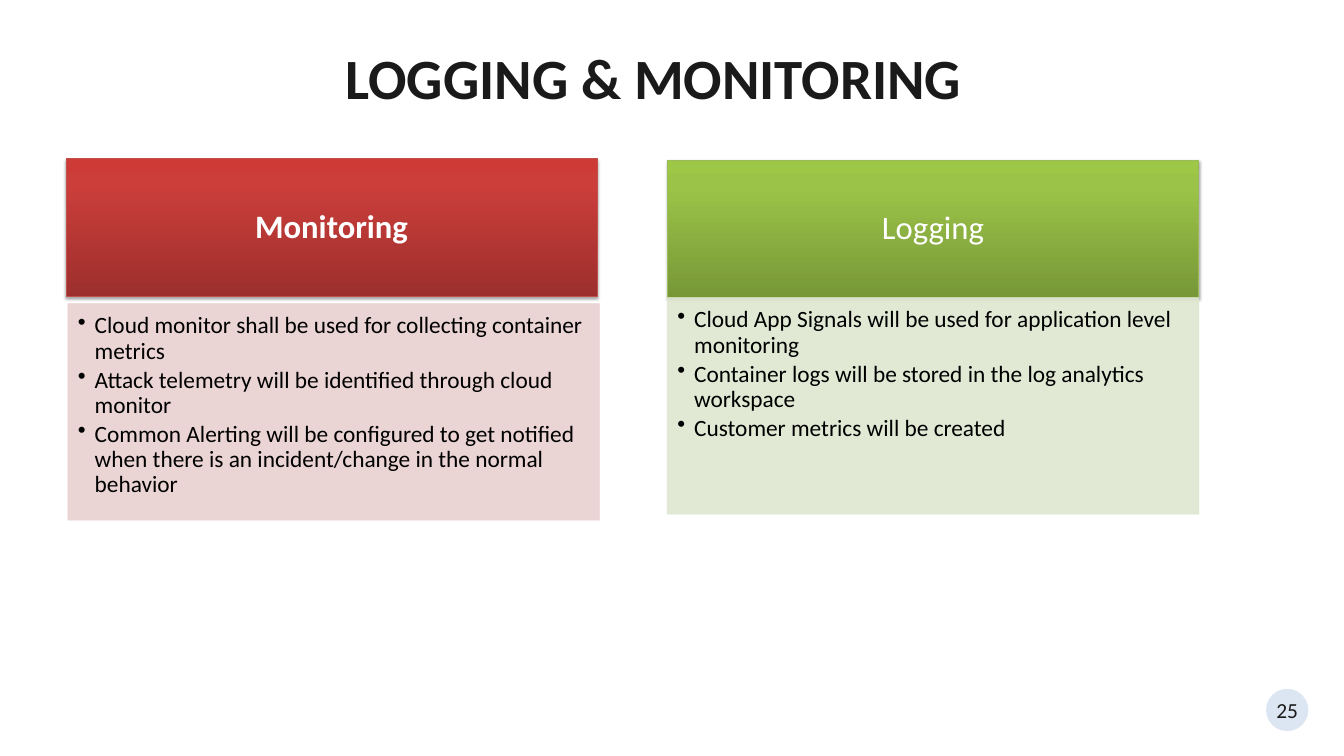
from dataclasses import dataclass

from lxml import etree
from pptx import Presentation
from pptx.dml.color import RGBColor
from pptx.enum.shapes import MSO_SHAPE
from pptx.enum.text import MSO_ANCHOR, PP_ALIGN
from pptx.oxml import parse_xml
from pptx.oxml.ns import nsdecls, qn
from pptx.shapes.autoshape import Shape
from pptx.slide import Slide
from pptx.text.text import TextFrame, _Paragraph
from pptx.util import Inches, Pt

RECTANGLE, OVAL = MSO_SHAPE.RECTANGLE, MSO_SHAPE.OVAL
CENTER, LEFT = PP_ALIGN.CENTER, PP_ALIGN.LEFT
MIDDLE, TOP = MSO_ANCHOR.MIDDLE, MSO_ANCHOR.TOP

FONT = "Calibri"
COLORS = {
    "ink": "1A1A1A",
    "black": "000000",
    "white": "FFFFFF",
    "badge": "DCE6F2",
    "red_line": "C0504D",
    "red_tint": "E8D0D0",
    "green_line": "9BBB59",
    "green_tint": "DEE7D1",
}
GRADIENTS = {
    "red": ((0, "9C2F2D"), (80, "CB3E3A"), (100, "CE3B37")),
    "green": ((0, "779737"), (80, "9BC348"), (100, "9DC746")),
}
COLUMN_WIDTH, HEADER_HEIGHT, BODY_HEIGHT = 7.91, 2.05, 3.22


@dataclass
class Column:
    heading: str
    bold: bool
    color: str
    header_at: tuple[float, float]
    body_at: tuple[float, float]
    points: list[str]


COLUMNS = [
    Column("Monitoring", True, "red", (0.98, 2.36), (1.01, 4.52), [
        "Cloud monitor shall be used for collecting container metrics",
        "Attack telemetry will be identified through cloud monitor",
        "Common Alerting will be configured to get notified when there is "
        "an incident/change in the normal behavior",
    ]),
    Column("Logging", False, "green", (9.93, 2.38), (9.93, 4.43), [
        "Cloud App Signals will be used for application level monitoring",
        "Container logs will be stored in the log analytics workspace",
        "Customer metrics will be created",
    ]),
]


def rgb(name: str) -> RGBColor:
    return RGBColor.from_string(COLORS[name])


def set_frame(frame: TextFrame, insets: tuple[float, ...], anchor: MSO_ANCHOR) -> None:
    frame.word_wrap = True
    frame.vertical_anchor = anchor
    (frame.margin_left, frame.margin_top,
     frame.margin_right, frame.margin_bottom) = map(Inches, insets)


def write(paragraph: _Paragraph, text: str, size: float, color: str,
          align: PP_ALIGN, bold: bool = False) -> None:
    paragraph.alignment = align
    run = paragraph.add_run()
    run.text = text
    run.font.name, run.font.size, run.font.bold = FONT, Pt(size), bold
    run.font.color.rgb = rgb(color)


def add_panel(slide: Slide, kind: MSO_SHAPE, at: tuple[float, float],
              size: tuple[float, float]) -> Shape:
    panel = slide.shapes.add_shape(kind, *map(Inches, at + size))
    panel.shadow.inherit = False
    return panel


def add_header(slide: Slide, column: Column) -> None:
    header = add_panel(slide, RECTANGLE, column.header_at, (COLUMN_WIDTH, HEADER_HEIGHT))
    header.line.color.rgb = rgb(f"{column.color}_line")
    header.line.width = Pt(0.75)

    # Three-stop gradient, dark at the bottom
    header.fill.gradient()
    header.fill.gradient_angle = 90
    properties = header._element.spPr
    stops = properties.find(".//" + qn("a:gsLst"))
    for stop in list(stops):
        stops.remove(stop)
    for position, color in GRADIENTS[column.color]:
        stop = etree.SubElement(stops, qn("a:gs"), pos=str(position * 1000))
        etree.SubElement(stop, qn("a:srgbClr"), val=color)

    # Soft shadow below
    properties.find(qn("a:effectLst")).append(parse_xml(
        f'<a:outerShdw {nsdecls("a")} blurRad="{Pt(3.1)}" dist="{Pt(1.8)}" '
        'dir="5400000" rotWithShape="0"><a:srgbClr val="000000">'
        '<a:alpha val="35000"/></a:srgbClr></a:outerShdw>'))

    set_frame(header.text_frame, (0.27, 0.16, 0.27, 0.16), MIDDLE)
    paragraph = header.text_frame.paragraphs[0]
    paragraph.line_spacing = 0.9
    write(paragraph, column.heading, 35, "white", CENTER, column.bold)


def add_body(slide: Slide, column: Column) -> None:
    body = add_panel(slide, RECTANGLE, column.body_at, (COLUMN_WIDTH, BODY_HEIGHT))
    tint = rgb(f"{column.color}_tint")
    body.fill.solid()
    body.fill.fore_color.rgb = tint
    body.line.color.rgb = tint
    body.line.width = Pt(0.75)
    for color in body._element.spPr.iter(qn("a:srgbClr")):
        etree.SubElement(color, qn("a:alpha"), val="90000")

    frame = body.text_frame
    set_frame(frame, (0.15, 0.15, 0.19, 0.22), TOP)
    for index, point in enumerate(column.points):
        paragraph = frame.add_paragraph() if index else frame.paragraphs[0]
        properties = paragraph._p.get_or_add_pPr()
        properties.set("marL", str(Inches(0.25)))
        properties.set("indent", str(-Inches(0.25)))
        etree.SubElement(properties, qn("a:buChar"), char="•")
        paragraph.level = 1
        paragraph.line_spacing = 0.9
        paragraph.space_after = Pt(4)
        write(paragraph, point, 25, "black", LEFT)


def add_title(slide: Slide, text: str) -> None:
    title = slide.shapes.title
    title.left, title.top, title.width, title.height = map(
        Inches, (1.34, 0.82, 16.95, 0.84))
    set_frame(title.text_frame, (0, 0, 0, 0), MIDDLE)
    paragraph = title.text_frame.paragraphs[0]
    paragraph.line_spacing = Pt(58)
    write(paragraph, text, 61, "ink", CENTER, bold=True)


def add_page_badge(slide: Slide, number: str) -> None:
    badge = add_panel(slide, OVAL, (18.84, 10.25), (0.63, 0.63))
    badge.fill.solid()
    badge.fill.fore_color.rgb = rgb("badge")
    badge.line.fill.background()
    set_frame(badge.text_frame, (0, 0.04, 0, 0.04), MIDDLE)
    badge.text_frame.word_wrap = False
    write(badge.text_frame.paragraphs[0], number, 23, "ink", CENTER)


def main() -> None:
    deck = Presentation()
    deck.slide_width, deck.slide_height = Inches(20), Inches(11.25)
    slide = deck.slides.add_slide(deck.slide_layouts[5])

    add_page_badge(slide, "25")
    add_title(slide, "LOGGING & MONITORING ")
    for column in COLUMNS:
        add_header(slide, column)
        add_body(slide, column)

    deck.save("out.pptx")


if __name__ == "__main__":
    main()
